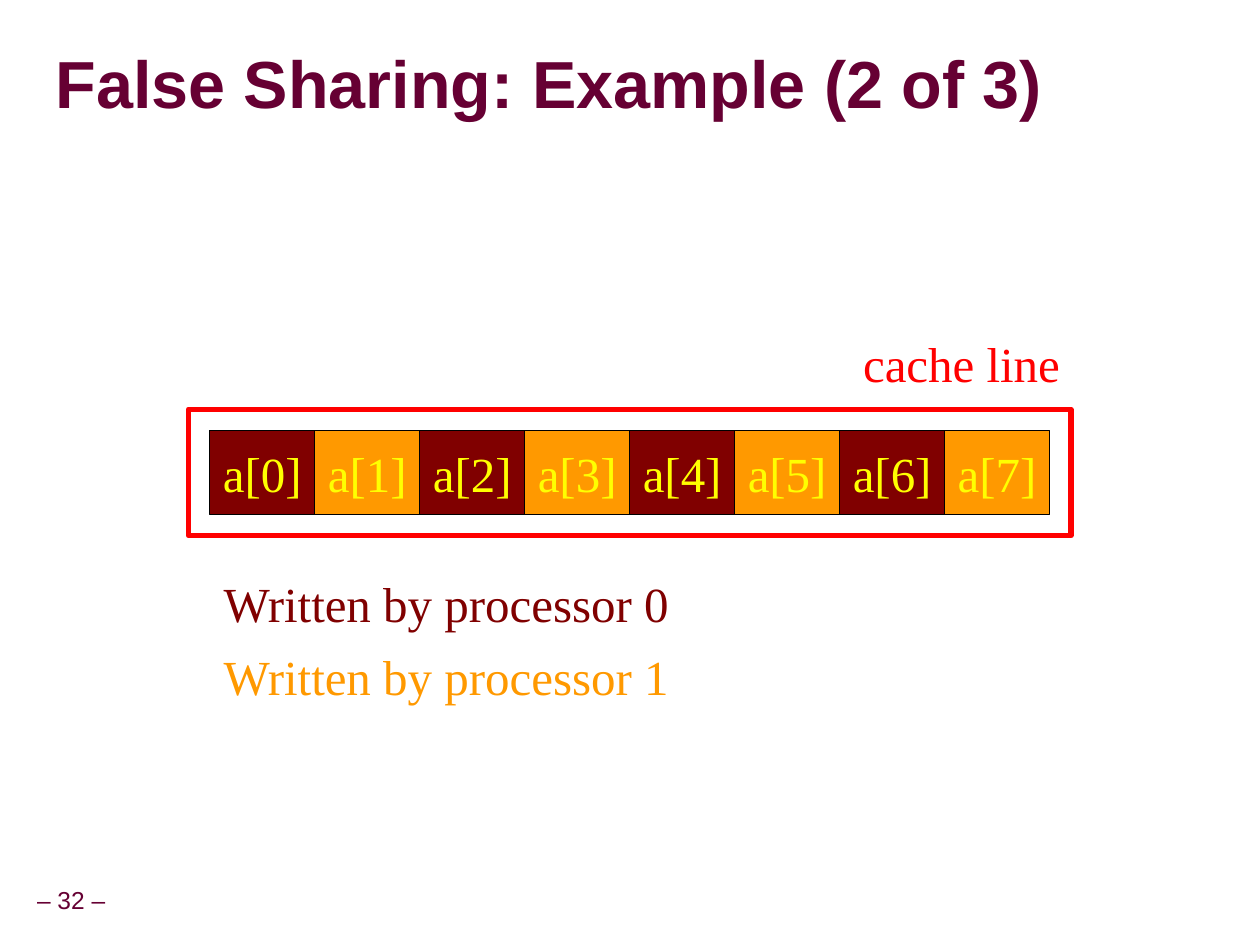
from lxml.etree import SubElement
from pptx import Presentation
from pptx.dml.color import RGBColor
from pptx.enum.shapes import MSO_SHAPE
from pptx.enum.text import MSO_ANCHOR, MSO_AUTO_SIZE, PP_ALIGN
from pptx.oxml.ns import qn
from pptx.util import Cm, Pt

PLUM = RGBColor(0x66, 0x00, 0x33)
MAROON = RGBColor(0x80, 0x00, 0x00)
ORANGE = RGBColor(0xFF, 0x99, 0x00)
YELLOW = RGBColor(0xFF, 0xFF, 0x00)
RED = RGBColor(0xFF, 0x00, 0x00)
BLACK = RGBColor(0x00, 0x00, 0x00)

CELL_COUNT = 8
ARRAY_LEFT, ARRAY_TOP = 4.23, 8.68
ARRAY_WIDTH, ARRAY_HEIGHT = 16.93, 1.69
CACHE_LINE_MARGIN = 0.43


def set_text(shape, text, color, size=28, font_name="Times New Roman",
             alignment=PP_ALIGN.CENTER):
    text_frame = shape.text_frame
    text_frame.text = text
    text_frame.word_wrap = False
    text_frame.vertical_anchor = MSO_ANCHOR.MIDDLE
    paragraph = text_frame.paragraphs[0]
    paragraph.alignment = alignment
    font = paragraph.runs[0].font
    font.name = font_name
    font.size = Pt(size)
    font.color.rgb = color
    return paragraph


def add_text_shadow(run):
    """Give the letters a grey shadow down and to the right."""
    effects = SubElement(run.font._element, qn("a:effectLst"))
    shadow = SubElement(effects, qn("a:outerShdw"), dist="38100", dir="2700000")
    SubElement(shadow, qn("a:srgbClr"), val="969696")
    run.font._element.find(qn("a:solidFill")).addnext(effects)


def format_title(title, text):
    title.left, title.top = Cm(1.12), Cm(0.69)
    title.width, title.height = Cm(24.21), Cm(2.16)
    paragraph = set_text(title, text, PLUM, 38, "Arial", PP_ALIGN.LEFT)
    paragraph.line_spacing = 0.87
    paragraph.runs[0].font.bold = True
    add_text_shadow(paragraph.runs[0])
    text_frame = title.text_frame
    text_frame.word_wrap = True
    text_frame.auto_size = MSO_AUTO_SIZE.NONE
    text_frame.margin_left = text_frame.margin_right = 0
    text_frame.margin_top = text_frame.margin_bottom = 0


def add_rectangle(slide, left, top, width, height, line_color, line_width):
    shape = slide.shapes.add_shape(
        MSO_SHAPE.RECTANGLE, Cm(left), Cm(top), Cm(width), Cm(height))
    shape.shadow.inherit = False
    shape.line.color.rgb = line_color
    shape.line.width = Pt(line_width)
    return shape


def add_array(slide):
    """Draw the cells in the alternating colours of the two processors."""
    cell_width = ARRAY_WIDTH / CELL_COUNT
    for index in range(CELL_COUNT):
        cell = add_rectangle(slide, ARRAY_LEFT + index * cell_width, ARRAY_TOP,
                             cell_width, ARRAY_HEIGHT, BLACK, 0.75)
        cell.fill.solid()
        cell.fill.fore_color.rgb = (MAROON, ORANGE)[index % 2]
        set_text(cell, f"a[{index}]", YELLOW)


def add_cache_line(slide):
    margin = CACHE_LINE_MARGIN
    frame = add_rectangle(slide, ARRAY_LEFT - margin, ARRAY_TOP - margin,
                          ARRAY_WIDTH + 2 * margin, ARRAY_HEIGHT + 2 * margin,
                          RED, 3)
    frame.fill.background()


def add_label(slide, text, left, top, width, color):
    label = slide.shapes.add_textbox(Cm(left), Cm(top), Cm(width), Cm(1.45))
    set_text(label, text, color)


def add_slide_number(slide, text):
    box = slide.shapes.add_textbox(Cm(-0.23), Cm(17.78), Cm(3.33), Cm(0.79))
    paragraph = set_text(box, text, PLUM, 14, "Arial")
    paragraph.line_spacing = 0.9


def main():
    presentation = Presentation()
    presentation.slide_width, presentation.slide_height = Cm(25.4), Cm(19.05)
    slide = presentation.slides.add_slide(presentation.slide_layouts[5])
    format_title(slide.shapes.title, "False Sharing: Example (2 of 3)")
    add_array(slide)
    add_cache_line(slide)
    add_label(slide, "cache line", 17.15, 6.6, 4.47, RED)
    for processor, color in enumerate((MAROON, ORANGE)):
        add_label(slide, f"Written by processor {processor}",
                  ARRAY_LEFT, 11.43 + 1.48 * processor, 9.53, color)
    add_slide_number(slide, "– 32 –")
    presentation.save("out.pptx")


if __name__ == "__main__":
    main()
